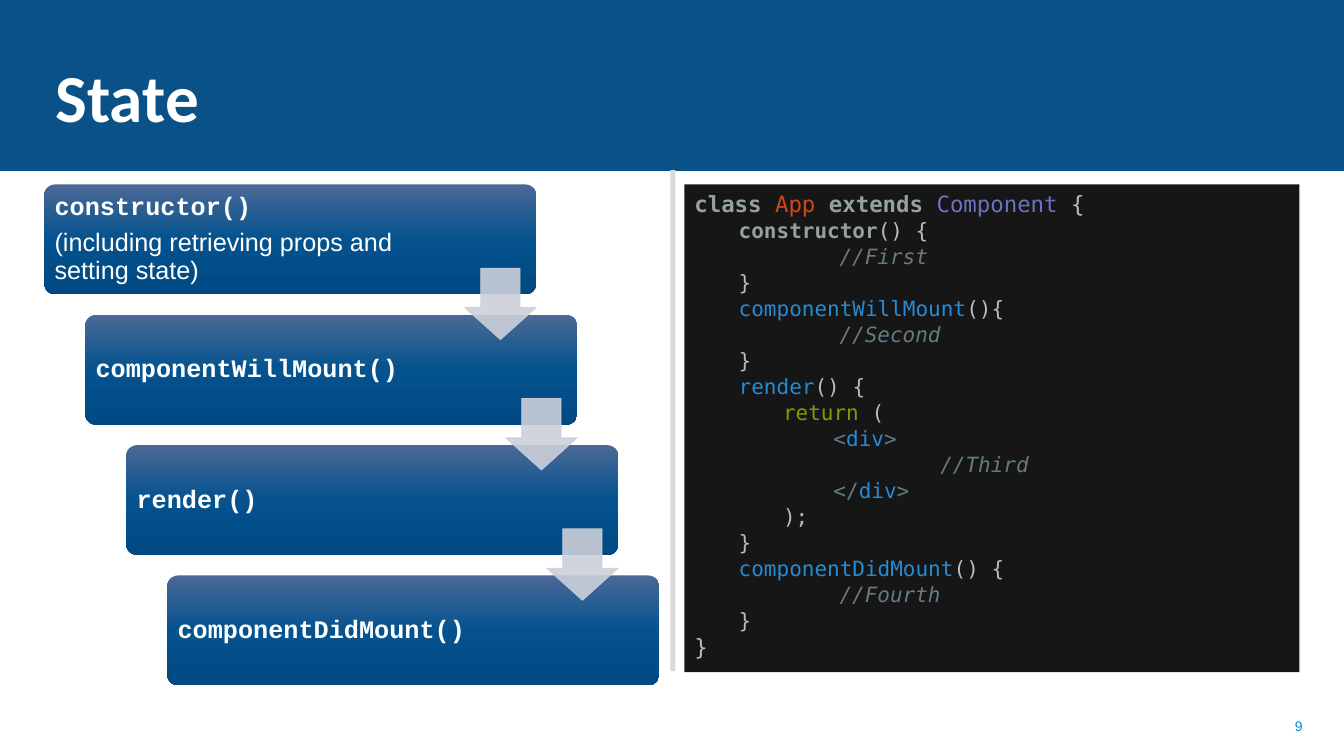
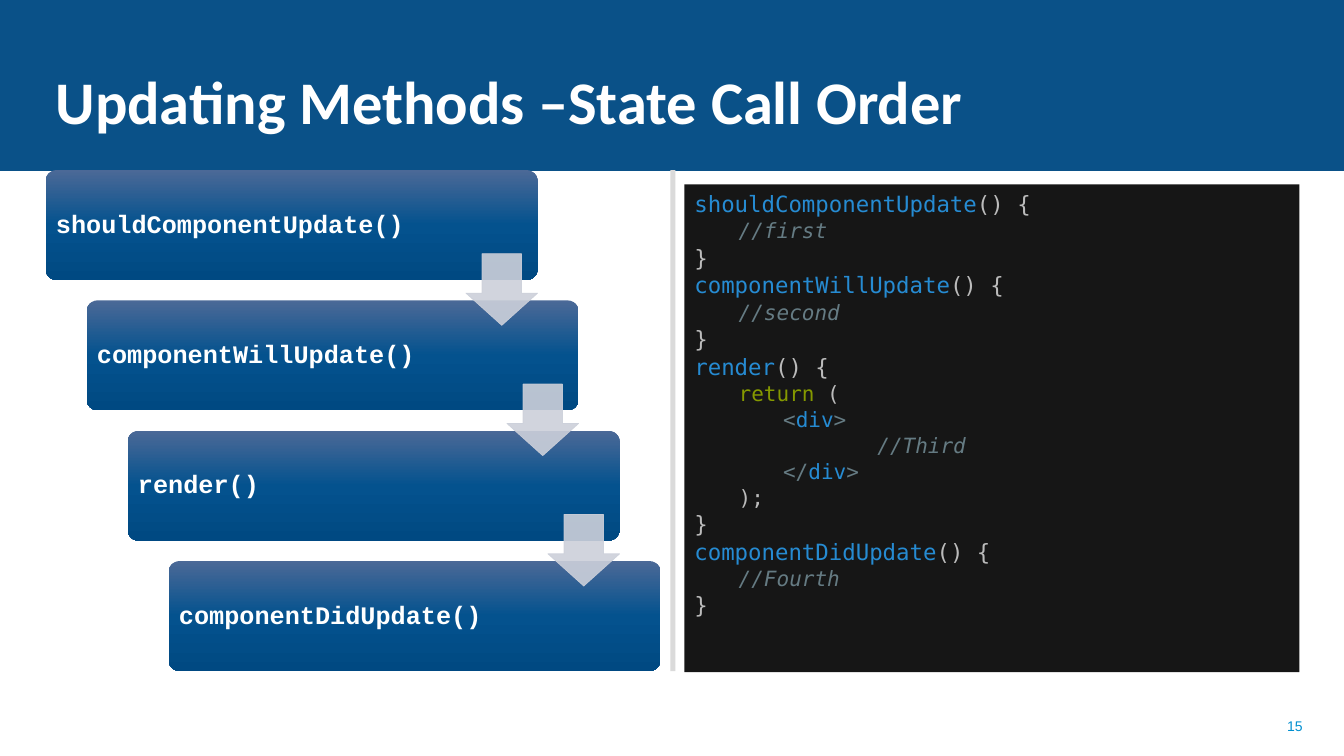
from copy import deepcopy

from pptx import Presentation
from pptx.dml.color import RGBColor
from pptx.enum.shapes import MSO_SHAPE as Shape
from pptx.enum.text import MSO_ANCHOR as Anchor, PP_ALIGN as Align
from pptx.oxml.ns import qn
from pptx.util import Inches, Pt

BAND_BLUE = RGBColor(0x0A, 0x51, 0x88)
NUMBER_BLUE = RGBColor(0x00, 0x8F, 0xD0)
DIVIDER_GRAY = RGBColor(0xDA, 0xDA, 0xDA)
ARROW_GRAY = RGBColor(0xCC, 0xD0, 0xDA)
WHITE = RGBColor(0xFF, 0xFF, 0xFF)
PANEL_BLACK = RGBColor(0x16, 0x16, 0x16)
CODE_GRAY = RGBColor(0xBB, 0xBB, 0xBB)
CODE_PALE = RGBColor(0x93, 0xA1, 0xA1)
CODE_ORANGE = RGBColor(0xCB, 0x4B, 0x16)
CODE_VIOLET = RGBColor(0x6C, 0x71, 0xC4)
CODE_BLUE = RGBColor(0x26, 0x8B, 0xD2)
CODE_SLATE = RGBColor(0x65, 0x7B, 0x83)
CODE_GREEN = RGBColor(0x85, 0x99, 0x00)
STEP_GRADIENT = (
    (0, RGBColor(0x4B, 0x69, 0x97)),
    (0.5, RGBColor(0x04, 0x52, 0x8E)),
    (1, RGBColor(0x00, 0x49, 0x82)),
)

# Token kind: colour, bold, italic
TOKENS = {
    "keyword": (CODE_PALE, True, False),
    "class": (CODE_ORANGE, False, False),
    "parent": (CODE_VIOLET, False, False),
    "name": (CODE_BLUE, False, False),
    "return": (CODE_GREEN, False, False),
    "tag": (CODE_SLATE, False, False),
    "comment": (CODE_SLATE, False, True),
    "plain": (CODE_GRAY, False, False),
}

# Lengths below are percentages of the slide's width or height
BAND_HEIGHT = 22.5
STEP_WIDTH, STEP_HEIGHT = 36.6, 14.53
STEP_RIGHT, STEP_DOWN = 3.05, 17.24
ARROW_WIDTH, ARROW_HEIGHT = 5.33, 9.47
ARROW_DROP = 11.07
CODE_INDENTS = (0, 3.3, 6.6, 10.35)
CODE_TAB = 7.5


def plain(level, text):
    return level, 0, [("plain", text)]


def call(level, name, tail="() {"):
    return level, 0, [("name", name), ("plain", tail)]


def comment(level, tabs, text):
    return level, tabs, [("comment", text)]


def div(level, opening):
    return level, 0, [("tag", opening), ("name", "div"), ("tag", ">")]


def return_line(level):
    return level, 0, [("return", "return"), ("plain", " (")]


STATE_CODE = [
    (0, 0, [("keyword", "class "), ("class", "App "), ("keyword", "extends "),
            ("parent", "Component"), ("plain", " {")]),
    (1, 0, [("keyword", "constructor"), ("plain", "() {")]),
    comment(1, 1, "//First"),
    plain(1, "}"),
    call(1, "componentWillMount", "(){"),
    comment(1, 1, "//Second"),
    plain(1, "}"),
    call(1, "render"),
    return_line(2),
    div(3, "<"),
    comment(1, 2, "//Third"),
    div(3, "</"),
    plain(2, ");"),
    plain(1, "}"),
    call(1, "componentDidMount"),
    comment(1, 1, "//Fourth"),
    plain(1, "}"),
    plain(0, "}"),
]
UPDATE_CODE = [
    call(0, "shouldComponentUpdate"),
    comment(1, 0, "//first"),
    plain(0, "}"),
    call(0, "componentWillUpdate"),
    comment(1, 0, "//second"),
    plain(0, "}"),
    call(0, "render"),
    return_line(1),
    div(2, "<"),
    comment(1, 1, "   //Third"),
    div(2, "</"),
    plain(1, ");"),
    plain(0, "}"),
    call(0, "componentDidUpdate"),
    comment(1, 0, "//Fourth"),
    plain(0, "}"),
]


class MethodDeck:
    def __init__(self):
        self.deck = Presentation()
        self.deck.slide_width, self.deck.slide_height = Inches(13.33), Inches(7.5)
        self.page = None

    def across(self, share):
        return round(self.deck.slide_width * share / 100)

    def down(self, share):
        return round(self.deck.slide_height * share / 100)

    def place(self, left, top, width, height):
        return self.across(left), self.down(top), self.across(width), self.down(height)

    def add_page(self, title, number, title_size=48):
        self.page = self.deck.slides.add_slide(self.deck.slide_layouts[6])
        band = self.shape(Shape.RECTANGLE, (0, 0, 100, BAND_HEIGHT), BAND_BLUE)
        band.line.color.rgb = BAND_BLUE
        band.line.width = Pt(1)
        self.shape(Shape.RECTANGLE, (49.88, BAND_HEIGHT, 0.38, 66.3), DIVIDER_GRAY)
        self.label((74.33, 93.33, 23.33, 5.33), str(number), "Arial", 10,
                   NUMBER_BLUE, Anchor.MIDDLE, align=Align.RIGHT)
        self.label((3.4, 1.87, 74.85, 16.8), title, "Calibri", title_size,
                   WHITE, Anchor.BOTTOM, bold=True)

    def shape(self, kind, area, color=None):
        shape = self.page.shapes.add_shape(kind, *self.place(*area))
        shape.shadow.inherit = False
        shape.line.fill.background()
        if color is not None:
            shape.fill.solid()
            shape.fill.fore_color.rgb = color
        return shape

    def label(self, area, text, font, size, color, anchor, bold=False, align=Align.LEFT):
        frame = self.page.shapes.add_textbox(*self.place(*area)).text_frame
        frame.word_wrap = True
        frame.vertical_anchor = anchor
        para = frame.paragraphs[0]
        para.text = text
        para.alignment = align
        self.style(para.font, font, size, color, bold)

    @staticmethod
    def style(font, name, size, color, bold):
        font.name, font.size, font.bold = name, Pt(size), bold
        font.color.rgb = color

    @staticmethod
    def paragraphs(frame, items):
        """Yield each item with its own left-aligned paragraph."""
        for index, item in enumerate(items):
            para = frame.add_paragraph() if index else frame.paragraphs[0]
            para.alignment = Align.LEFT
            yield para, item

    def code(self, lines):
        panel = self.shape(Shape.RECTANGLE, (50.93, 24.4, 45.75, 64.5), PANEL_BLACK)
        frame = panel.text_frame
        frame.word_wrap = True
        frame.vertical_anchor = Anchor.TOP
        for para, (level, tabs, tokens) in self.paragraphs(frame, lines):
            para.line_spacing = 1.03
            properties = para._p.get_or_add_pPr()
            properties.set("marL", str(self.across(CODE_INDENTS[level] + tabs * CODE_TAB)))
            properties.set("indent", "0")
            para.font.name = "DejaVu Sans Mono"
            para.font.size = Pt(15 if level else 16)
            for kind, text in tokens:
                span = para.add_run()
                span.text = text
                span.font.color.rgb, span.font.bold, span.font.italic = TOKENS[kind]

    def step(self, left, top, method, note=None):
        box = self.shape(Shape.ROUNDED_RECTANGLE, (left, top, STEP_WIDTH, STEP_HEIGHT))
        box.adjustments[0] = 0.1
        box.fill.gradient()
        box.fill.gradient_angle = 270
        stop_list = box._element.spPr.find(".//" + qn("a:gsLst"))
        stop_list.insert(1, deepcopy(stop_list[0]))
        for stop, (position, color) in zip(box.fill.gradient_stops, STEP_GRADIENT):
            stop.position = position
            stop.color.rgb = color
        frame = box.text_frame
        frame.word_wrap = True
        frame.vertical_anchor = Anchor.MIDDLE
        frame.margin_left = frame.margin_top = frame.margin_bottom = Inches(0.07)
        frame.margin_right = self.across(9)
        texts = [(method, "Courier New", True)]
        if note:
            texts.append((note, "Arial", False))
        for para, (text, font, bold) in self.paragraphs(frame, texts):
            para.text = text
            para.line_spacing = 0.9
            para.space_after = Pt(6.3)
            self.style(para.font, font, 18, WHITE, bold)

    def arrow(self, left, top):
        arrow = self.shape(Shape.DOWN_ARROW, (left, top, ARROW_WIDTH, ARROW_HEIGHT), ARROW_GRAY)
        arrow.adjustments[0], arrow.adjustments[1] = 0.55, 0.45
        arrow.line.color.rgb = ARROW_GRAY
        arrow.line.width = Pt(0.5)
        for color in arrow._element.spPr.iter(qn("a:srgbClr")):
            color.append(color.makeelement(qn("a:alpha"), {"val": "90000"}))

    def staircase(self, left, top, steps):
        """Draw descending steps, with an arrow from each to the next."""
        corners = [(left + index * STEP_RIGHT, top + index * STEP_DOWN)
                   for index in range(len(steps))]
        for corner, texts in zip(corners, steps):
            self.step(*corner, *texts)
        for step_left, step_top in corners[:-1]:
            self.arrow(step_left + STEP_WIDTH - ARROW_WIDTH, step_top + ARROW_DROP)


def main():
    show = MethodDeck()
    show.add_page("State", 9)
    show.code(STATE_CODE)
    show.staircase(3.3, 24.4, [
        ("constructor()", "(including retrieving props and setting state)"),
        ("componentWillMount()",),
        ("render()",),
        ("componentDidMount()",),
    ])
    show.add_page("Updating Methods –State Call Order", 15, title_size=43.2)
    show.code(UPDATE_CODE)
    show.staircase(3.4, BAND_HEIGHT, [
        ("shouldComponentUpdate()",),
        ("componentWillUpdate()",),
        ("render()",),
        ("componentDidUpdate()",),
    ])
    show.deck.save("out.pptx")


if __name__ == "__main__":
    main()
